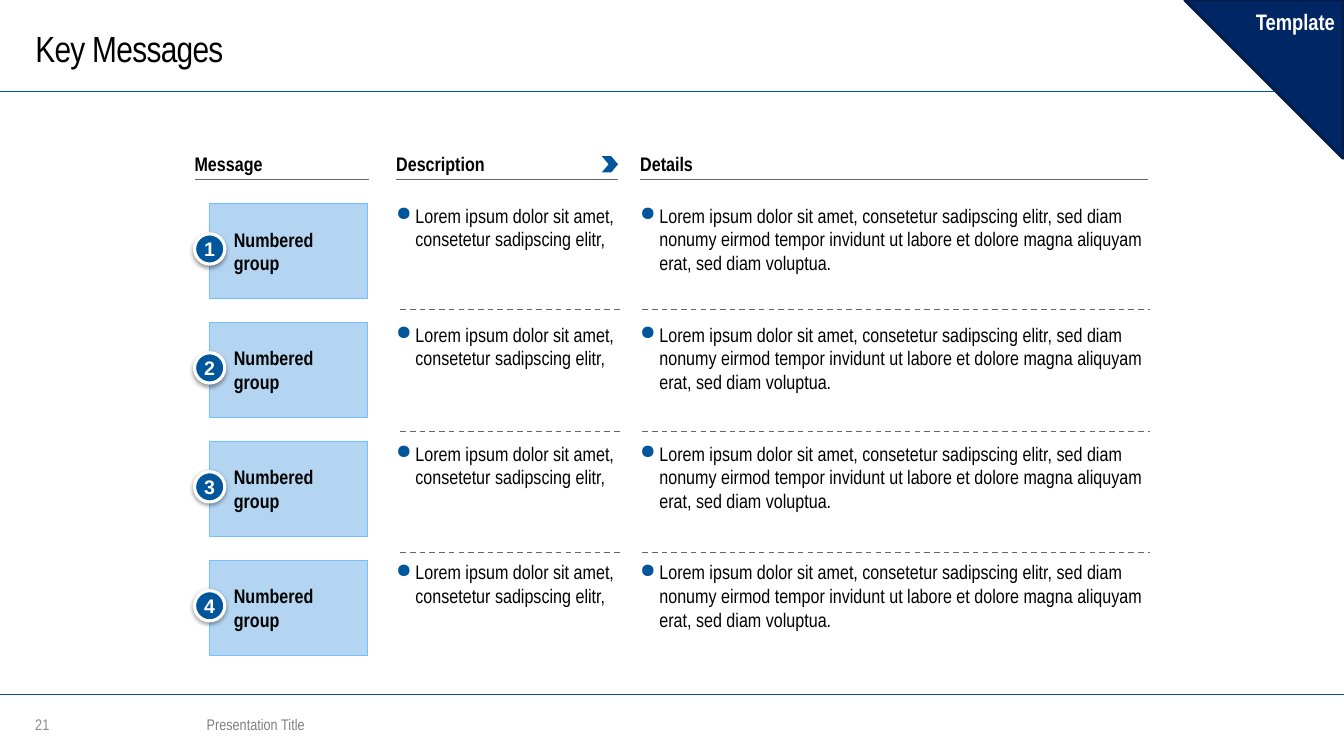
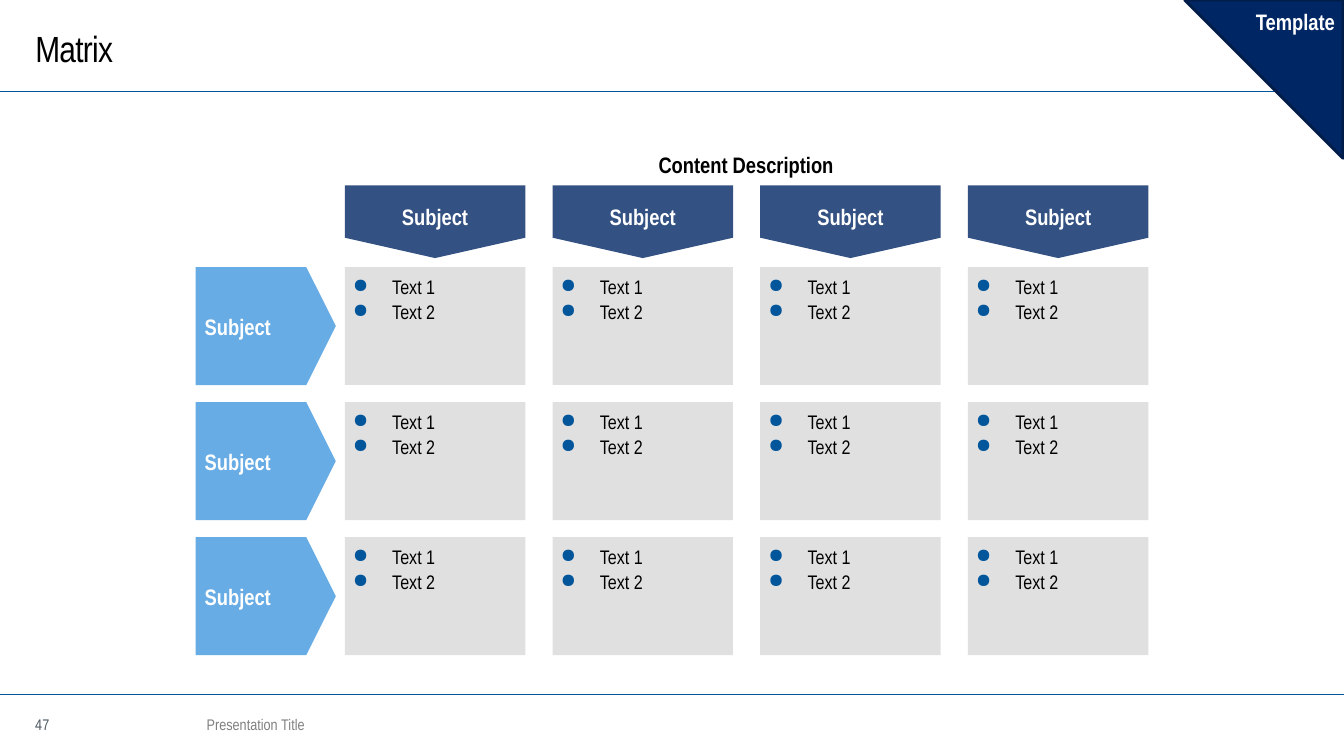
from lxml import etree
from pptx import Presentation
from pptx.dml.color import RGBColor
from pptx.enum.dml import MSO_LINE
from pptx.enum.shapes import MSO_CONNECTOR, MSO_SHAPE
from pptx.enum.text import MSO_ANCHOR, PP_ALIGN
from pptx.oxml.ns import qn
from pptx.util import Inches, Pt

RECT, OVAL, CHEVRON = MSO_SHAPE.RECTANGLE, MSO_SHAPE.OVAL, MSO_SHAPE.CHEVRON
TRIANGLE, HOME_PLATE = MSO_SHAPE.ISOSCELES_TRIANGLE, MSO_SHAPE.PENTAGON
TOP, MIDDLE = MSO_ANCHOR.TOP, MSO_ANCHOR.MIDDLE
LEFT, CENTER, RIGHT = PP_ALIGN.LEFT, PP_ALIGN.CENTER, PP_ALIGN.RIGHT
STRAIGHT, DASH = MSO_CONNECTOR.STRAIGHT, MSO_LINE.DASH

FONT = "Arial Narrow"
COLORS = {
    "black": "000000", "white": "FFFFFF", "rule": "00559B", "badge": "00569B",
    "line": "666666", "footer": "808080", "group": "B3D5F2", "group_line": "71C0FF",
    "corner": "002663", "corner_line": "001C49", "row": "68ACE5",
    "column": "335182", "cell": "E0E0E0",
}


def add_line(s, left, right, y, color, dash=None):
    line = s.shapes.add_connector(STRAIGHT, Inches(left), Inches(y), Inches(right), Inches(y))
    line.line.color.rgb = RGBColor.from_string(COLORS[color])
    line.line.width = Pt(1)
    if dash:
        line.line.dash_style = dash
    etree.SubElement(line._element.spPr, qn("a:effectLst"))


def add_box(s, at, texts=(), kind=None, fill=None, line=None, line_width=1, adj=None,
            size=14, color="black", bold=False, font=FONT, align=LEFT, anchor=MIDDLE,
            insets=(0, 0, 0, 0), bullet_indent=None):
    """Add a preset shape, or a text box if kind is None, with one paragraph per text."""
    frame = [Inches(v) for v in at]
    if kind is None:
        sp = s.shapes.add_textbox(*frame)
    else:
        sp = s.shapes.add_shape(kind, *frame)
        sp.shadow.inherit = False
        sp.fill.solid()
        sp.fill.fore_color.rgb = RGBColor.from_string(COLORS[fill])
        if line:
            sp.line.color.rgb = RGBColor.from_string(COLORS[line])
            sp.line.width = Pt(line_width)
        else:
            sp.line.fill.background()
        if adj is not None:
            sp.adjustments[0] = adj
    tf = sp.text_frame
    tf.word_wrap = True
    tf.vertical_anchor = anchor
    tf.margin_left, tf.margin_top, tf.margin_right, tf.margin_bottom = map(Inches, insets)
    for i, text in enumerate(texts):
        p = tf.add_paragraph() if i else tf.paragraphs[0]
        p.alignment = align
        if bullet_indent:
            pPr = p._p.get_or_add_pPr()
            pPr.set("marL", str(Inches(bullet_indent)))
            pPr.set("indent", str(-Inches(bullet_indent)))
            bullet_color = etree.SubElement(pPr, qn("a:buClr"))
            etree.SubElement(bullet_color, qn("a:srgbClr"), val=COLORS["rule"])
            etree.SubElement(pPr, qn("a:buChar"), char="●")
        if i:
            p.space_before = Pt(1)
        r = p.add_run()
        r.text = text
        r.font.name, r.font.size, r.font.bold = font, Pt(size), bold
        r.font.color.rgb = RGBColor.from_string(COLORS[color])
    return sp


prs = Presentation()
prs.slide_width, prs.slide_height = Inches(13.33), Inches(7.5)
COLORS.update({"number_21": "8C8C8C", "number_47": "4C575F"})

# Title, rules, footer and corner flag
slides = []
for title, number in (("Key Messages", "21"), ("Matrix", "47")):
    s = prs.slides.add_slide(prs.slide_layouts[6])
    slides.append(s)
    for y in (6.89, 0.91):
        add_line(s, 0, 13.33, y, "rule")
    heading = add_box(s, (0.35, 0.04, 10.29, 0.87), [title], size=26)
    heading.text_frame.paragraphs[0].runs[0].font._element.set("spc", "-50")
    add_box(s, (0.35, 7.05, 0.37, 0.28), [number], size=11, color="number_" + number)
    add_box(s, (2.05, 7.05, 6.82, 0.28), ["Presentation Title"], size=11, color="footer")
    corner = add_box(s, (11.75, 0, 1.57, 1.57), ["Template"], TRIANGLE, "corner",
                     "corner_line", 2, adj=1, size=16, color="white", bold=True,
                     align=RIGHT, anchor=TOP, insets=(0.08,) * 4)
    corner.rotation = 270
    corner.text_frame.word_wrap = False
    corner.text_frame._txBody.bodyPr.set("vert", "vert")
messages, matrix = slides

# Key messages: three headed columns, four numbered rows
description = "Lorem ipsum dolor sit amet, consetetur sadipscing elitr,"
details = (description + " sed diam nonumy eirmod tempor invidunt ut labore et dolore "
           "magna aliquyam erat, sed diam voluptua.")
text_columns = ((3.93, 2.2, description), (6.35, 5.04, details))

for heading, left, width in (("Message", 1.93, 1.73), ("Description", 3.93, 2.2),
                             ("Details", 6.35, 5.04)):
    add_line(messages, left, left + width, 1.78, "line")
    add_box(messages, (left, 1.47, width, 0.31), [heading], bold=True)
add_box(messages, (5.97, 1.55, 0.16, 0.16), kind=CHEVRON, fill="badge", adj=0.42)

for y in (3.07, 4.28, 5.48):
    for left, right in ((3.97, 6.17), (6.37, 11.41)):
        add_line(messages, left, right, y, "line", DASH)

for row in range(4):
    top = 2.02 + 1.18 * row
    add_box(messages, (2.08, top, 1.57, 0.94), ["Numbered group"], RECT, "group",
            "group_line", 0.75, bold=True, insets=(0.24, 0.08, 0.08, 0.08))
    badge = add_box(messages, (1.93, top + 0.3, 0.3, 0.3), [str(row + 1)], OVAL, "badge",
                    "white", 2.25, color="white", bold=True, font="Arial", align=CENTER)
    shadow = etree.SubElement(badge._element.spPr.find(qn("a:effectLst")), qn("a:outerShdw"),
                              blurRad=str(Pt(3.1)), dist=str(Pt(1.6)), dir="5400000",
                              algn="t", rotWithShape="0")
    shadow_color = etree.SubElement(shadow, qn("a:srgbClr"), val=COLORS["black"])
    etree.SubElement(shadow_color, qn("a:alpha"), val="38000")
    for left, width, text in text_columns:
        add_box(messages, (left, top, width, 0.94), [text], RECT, "white",
                anchor=TOP, bullet_indent=0.19)

# Matrix: four column arrows, three row arrows, a cell at each crossing
cell_width, cell_height = 1.79, 1.17
arrow_depth, arrow_middle = 0.72, 2.2
column_lefts = [3.42 + 2.06 * col for col in range(4)]
row_tops = [2.65 + 1.34 * row for row in range(3)]

add_box(matrix, (5.33, 1.48, 4.14, 0.31), ["Content Description"], size=16, bold=True,
        align=CENTER)
for left in column_lefts:
    arrow = add_box(matrix, (left + (cell_width - arrow_depth) / 2,
                             arrow_middle - cell_width / 2, arrow_depth, cell_width),
                    ["Subject"], HOME_PLATE, "column", adj=0.28, size=16, color="white",
                    bold=True, align=CENTER, insets=(0.08,) * 4)
    arrow.rotation = 90
    arrow.text_frame._txBody.bodyPr.set("vert", "vert270")
for top in row_tops:
    add_box(matrix, (1.94, top, 1.39, cell_height), ["Subject"], HOME_PLATE, "row",
            adj=0.25, size=16, color="white", bold=True, insets=(0.09, 0.05, 0.09, 0.05))
    for left in column_lefts:
        add_box(matrix, (left, top, cell_width, cell_height), ["Text 1", "Text 2"], RECT,
                "cell", anchor=TOP, insets=(0.08,) * 4, bullet_indent=0.39)

prs.save("out.pptx")
